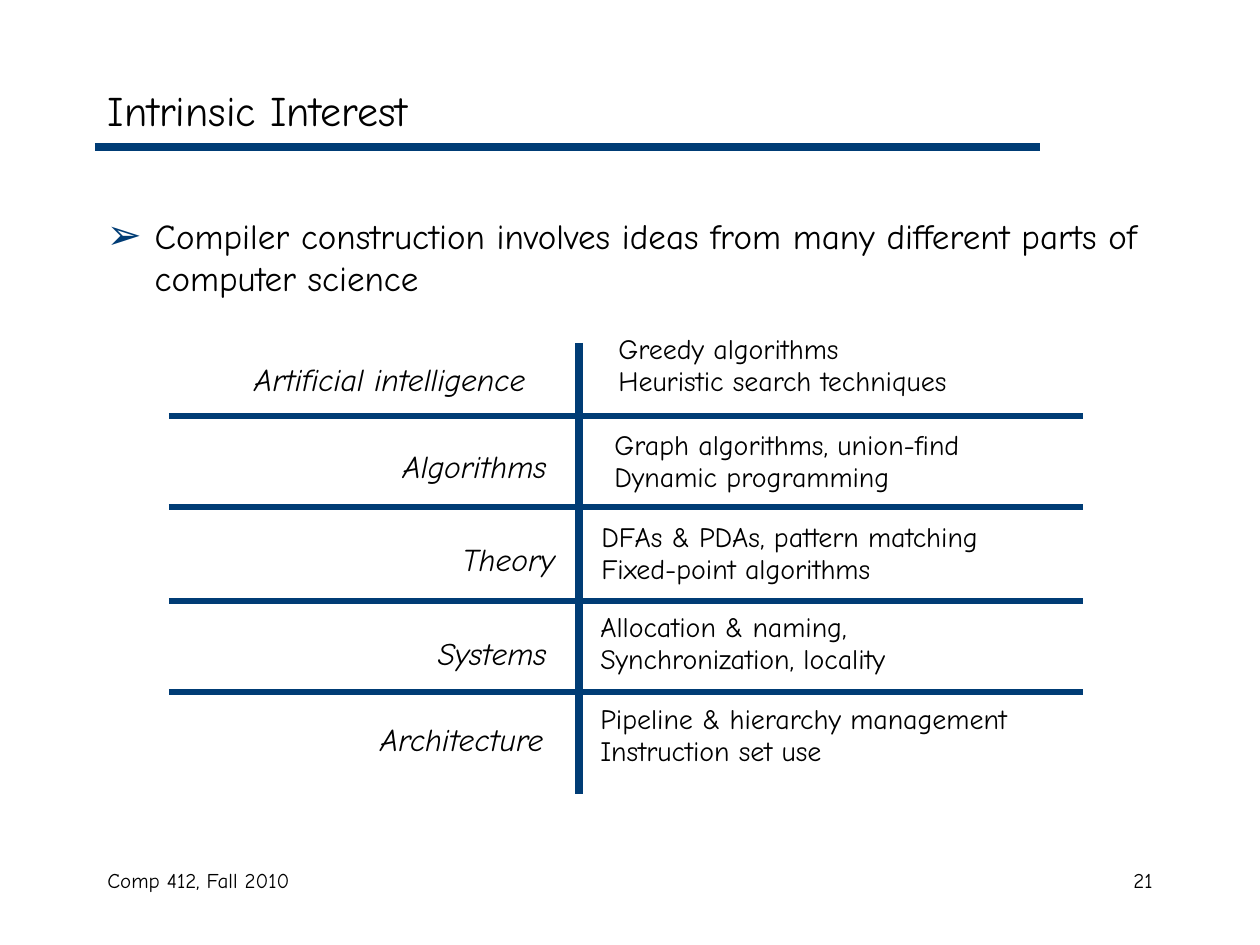
from lxml import etree
from pptx import Presentation
from pptx import util as u
from pptx.dml.color import RGBColor
from pptx.enum import shapes, text
from pptx.oxml import ns

SCALE = 914400 / 126  # EMU in one px
HUES = {"ink": "000000", "rule": "003C75"}
FONT = "Comic Neue"


def px(n):
    return u.Emu(round(n * SCALE))


def hue(name):
    return RGBColor.from_string(HUES[name])


def write(frame, lines, size=16, italic=False, align=text.PP_ALIGN.LEFT,
          space=None, before=0):
    """Fill a frame, one paragraph per line; before applies to the first."""
    for i, line in enumerate(lines):
        para = frame.paragraphs[0] if i == 0 else frame.add_paragraph()
        para.text = line
        para.alignment = align
        para.space_before = u.Pt(0 if i else before)
        if space:
            para.line_spacing = space
        for run in para.runs:
            font = run.font
            font.name, font.size, font.italic = FONT, u.Pt(size), italic
            font.color.rgb = hue("ink")


class Page:
    def __init__(self, deck):
        self.slide = deck.slides.add_slide(deck.slide_layouts[1])

    def hold(self, index, box, lines, anchor, **form):
        """Move and fill a placeholder."""
        item = self.slide.placeholders[index]
        item.left, item.top, item.width, item.height = map(px, box)
        frame = item.text_frame
        frame.auto_size = text.MSO_AUTO_SIZE.NONE
        frame.vertical_anchor = anchor
        write(frame, lines, **form)
        return frame

    def bullet(self, para, char, indent, percent):
        props = para._p.get_or_add_pPr()
        props.set("marL", str(px(indent)))
        props.set("indent", str(-px(indent)))
        color = etree.SubElement(props, ns.qn("a:buClr"))
        etree.SubElement(color, ns.qn("a:srgbClr"), val=HUES["rule"])
        etree.SubElement(props, ns.qn("a:buSzPct"), val=str(percent * 1000))
        etree.SubElement(props, ns.qn("a:buChar"), char=char)

    def label(self, box, lines, **form):
        frame = self.slide.shapes.add_textbox(*map(px, box)).text_frame
        frame.word_wrap = True
        write(frame, lines, **form)

    def line(self, start, end, weight):
        rule = self.slide.shapes.add_connector(
            shapes.MSO_CONNECTOR.STRAIGHT, *map(px, start + end))
        rule.line.color.rgb = hue("rule")
        rule.line.width = u.Pt(weight)
        etree.SubElement(rule._element.spPr, ns.qn("a:effectLst"))


# Field, its right edge and top; ideas: left, top, width, lines, space before
EDGE = 169  # left edge of the grid
ROWS = [
    ("Artificial intelligence", (538, 343), (606, 328, 355),
     ["Greedy algorithms", "Heuristic search techniques"], 0),
    ("Algorithms", (559, 430), (602, 424, 370),
     ["Graph algorithms, union-find", "Dynamic programming"], 0),
    ("Theory", (567, 523), (589, 516, 473),
     ["DFAs & PDAs, pattern matching", "Fixed-point algorithms"], 10),
    ("Systems", (559, 617), (588, 606, 462),
     ["Allocation & naming,\vSynchronization, locality"], 0),
    ("Architecture", (556, 703), (588, 698, 504),
     ["Pipeline & hierarchy management", "Instruction set use"], 10),
]


def main():
    deck = Presentation()
    deck.slide_width, deck.slide_height = px(1260), px(945)
    page = Page(deck)

    # Title and footer
    page.line((95, 147), (1040, 147), 4.5)
    page.hold(0, (95, 73, 1071, 73), ["Intrinsic Interest"],
              text.MSO_ANCHOR.MIDDLE, size=24)
    page.label((95, 861, 399, 63), ["Comp 412, Fall 2010"], size=12)
    page.label((903, 861, 262, 63), ["21"], size=12,
               align=text.PP_ALIGN.RIGHT)

    # Main point
    body = page.hold(1, (94, 208, 1071, 630),
                     ["Compiler construction involves ideas from many "
                      "different parts of computer science"],
                     text.MSO_ANCHOR.TOP, size=20)
    page.bullet(body.paragraphs[0], "➢", 48, 120)

    # Rules of the grid
    page.line((579, 343), (579, 794), 4.5)
    for y in (416, 507, 601, 692):
        page.line((EDGE, y), (1083, y), 3)

    # Fields and the ideas taken from them
    for field, (right, y), (left, top, wide), ideas, before in ROWS:
        page.label((EDGE, y, right - EDGE, 62), [field], size=18, italic=True,
                   align=text.PP_ALIGN.RIGHT, space=1.3, before=6.8)
        page.label((left, top, wide, 77), ideas, space=0.95, before=before)

    deck.save("out.pptx")


if __name__ == "__main__":
    main()
